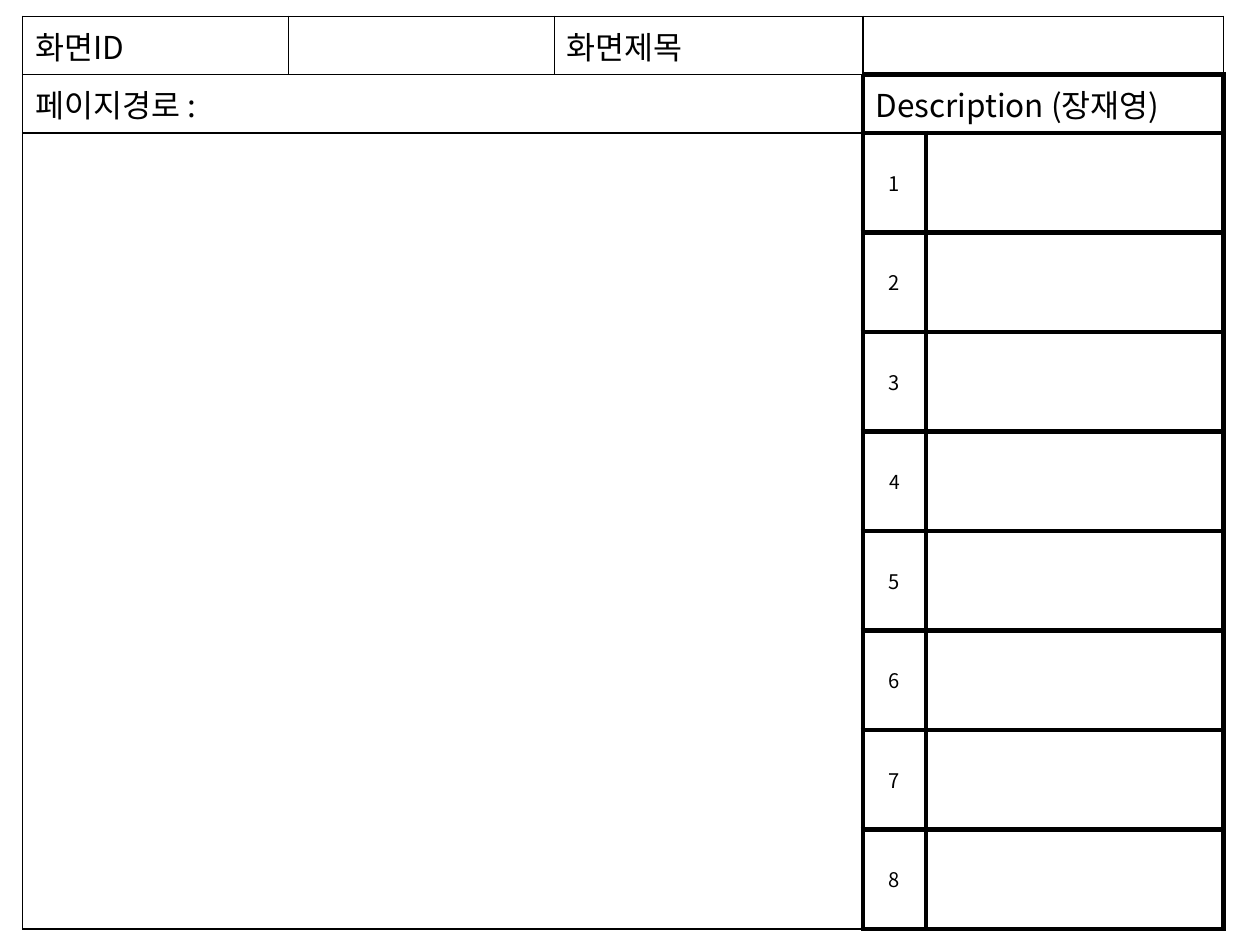
from itertools import product

from lxml.etree import SubElement
from pptx import Presentation
from pptx.dml.color import RGBColor
from pptx.enum.text import MSO_ANCHOR, PP_ALIGN
from pptx.oxml.ns import qn
from pptx.util import Inches, Pt

COLORS = {"ink": "000000"}
FONT = "Noto Sans CJK KR"
PAGE_WIDTH, PAGE_HEIGHT = 10, 7.5
COLUMNS = [2.11, 2.11, 2.45, 0.5, 2.36]
HEADER_ROWS, ITEM_ROWS = 2, 8
HEADER_HEIGHT, ITEM_HEIGHT = 0.46, 0.79
PANEL_COLUMN = 3  # the description panel starts here, below the first row
THIN, THICK = 1, 3


def set_border(cell, side, weight):
    line = SubElement(cell._tc.get_or_add_tcPr(), qn(f"a:ln{side}"), w=str(Pt(weight)))
    fill = SubElement(line, qn("a:solidFill"))
    SubElement(fill, qn("a:srgbClr"), val=COLORS["ink"])


def write(cell, text, size=18, align=PP_ALIGN.LEFT):
    cell.vertical_anchor = MSO_ANCHOR.MIDDLE
    para = cell.text_frame.paragraphs[0]
    para.text = text
    para.alignment = align
    for span in para.runs:
        span.font.name = FONT
        span.font.size = Pt(size)
        span.font.color.rgb = RGBColor.from_string(COLORS["ink"])
        SubElement(span.font._element, qn("a:ea"), typeface=FONT)


def draw_borders(table):
    """Rule every cell thinly, and thickly wherever it is in or meets the panel."""
    for row, column in product(range(len(table.rows)), range(len(COLUMNS))):
        cell = table.cell(row, column)
        in_panel = row >= 1 and column >= PANEL_COLUMN
        beside_panel = row >= 1 and column == PANEL_COLUMN - 1
        above_panel = row == 0 and column >= PANEL_COLUMN
        thick = {"R": beside_panel, "B": above_panel}
        for side in "LRTB":
            set_border(cell, side, THICK if in_panel or thick.get(side) else THIN)
        cell.fill.background()


def fill_header(table):
    write(table.cell(0, 0), "화면ID")
    write(table.cell(0, 2), "화면제목")
    table.cell(0, PANEL_COLUMN).merge(table.cell(0, PANEL_COLUMN + 1))
    write(table.cell(1, 0), "페이지경로 :")
    table.cell(1, 0).merge(table.cell(1, PANEL_COLUMN - 1))


def fill_description(table):
    write(table.cell(1, PANEL_COLUMN), "Description (장재영)")
    table.cell(1, PANEL_COLUMN).merge(table.cell(1, PANEL_COLUMN + 1))
    for number in range(1, ITEM_ROWS + 1):
        cell = table.cell(HEADER_ROWS + number - 1, PANEL_COLUMN)
        write(cell, str(number), 11 if number == 4 else 11.5, PP_ALIGN.CENTER)


def add_storyboard(page, left, top):
    heights = [HEADER_HEIGHT] * HEADER_ROWS + [ITEM_HEIGHT] * ITEM_ROWS
    frame = page.shapes.add_table(
        len(heights), len(COLUMNS), Inches(left), Inches(top),
        Inches(sum(COLUMNS)), Inches(sum(heights)))
    table = frame.table
    table.first_row = table.horz_banding = False
    for column, width in zip(table.columns, COLUMNS):
        column.width = Inches(width)
    for row, height in zip(table.rows, heights):
        row.height = Inches(height)

    draw_borders(table)
    fill_header(table)
    fill_description(table)
    # Empty screen area
    table.cell(HEADER_ROWS, 0).merge(table.cell(len(heights) - 1, PANEL_COLUMN - 1))


def main():
    deck = Presentation()
    deck.slide_width, deck.slide_height = Inches(PAGE_WIDTH), Inches(PAGE_HEIGHT)
    page = deck.slides.add_slide(deck.slide_layouts[6])
    add_storyboard(page, left=0.18, top=0.13)
    deck.save("out.pptx")


if __name__ == "__main__":
    main()
